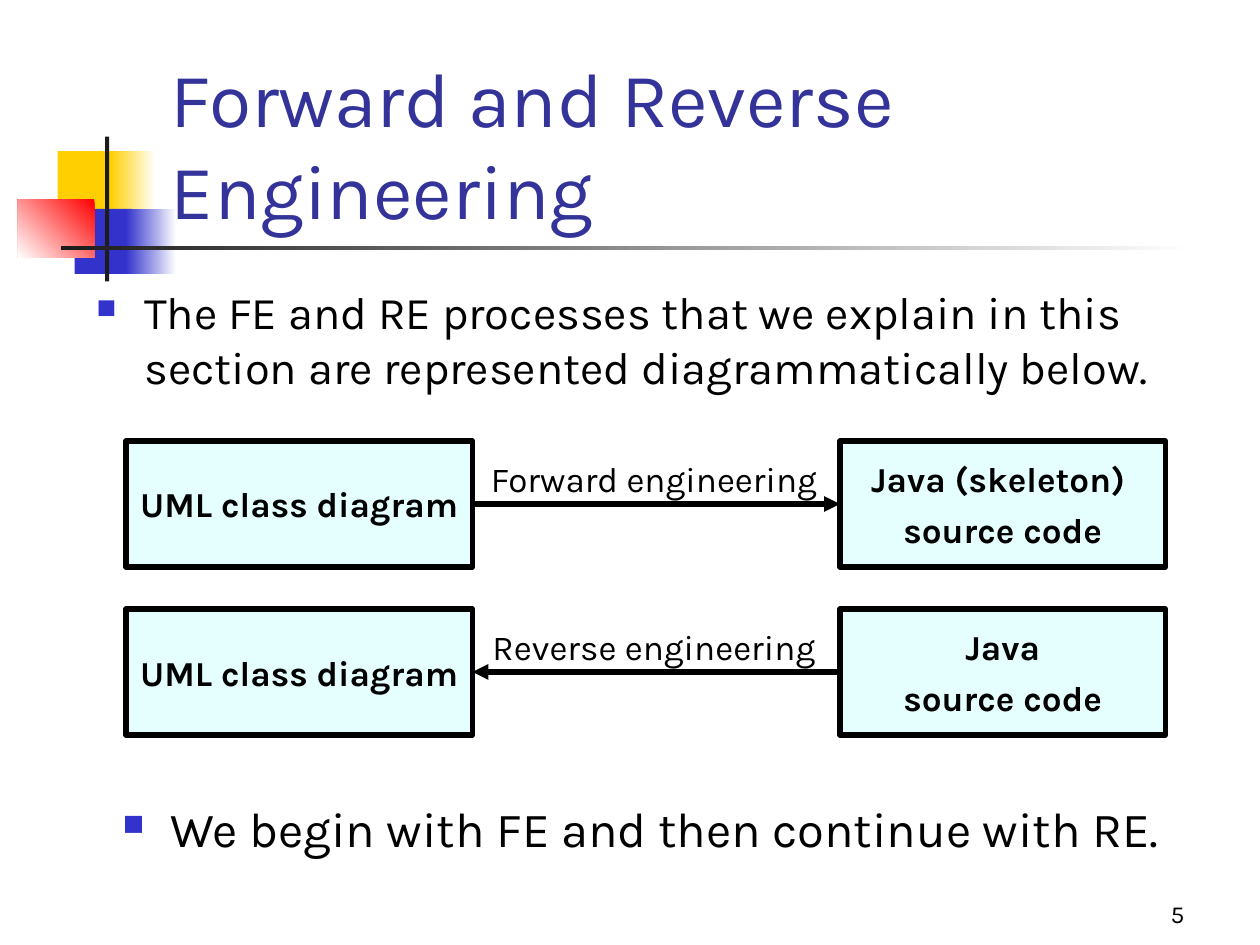
import pptx
import pptx.dml.color
import pptx.enum.shapes
import pptx.enum.text
import pptx.oxml.ns
import pptx.util
from lxml import etree

RGBColor = pptx.dml.color.RGBColor
Align = pptx.enum.text.PP_ALIGN
Anchor = pptx.enum.text.MSO_ANCHOR

BLACK = RGBColor(0x00, 0x00, 0x00)
WHITE = RGBColor(0xFF, 0xFF, 0xFF)
CHARCOAL = RGBColor(0x1C, 0x1C, 0x1C)
YELLOW = RGBColor(0xFF, 0xCF, 0x01)
RED = RGBColor(0xFF, 0x00, 0x00)
BLUE = RGBColor(0x33, 0x33, 0xCC)
TITLE_BLUE = RGBColor(0x33, 0x33, 0x99)
PALE_CYAN = RGBColor(0xE5, 0xFF, 0xFF)

FONT = "Karla"
COLUMNS, ROWS = 120, 90  # grid cells of a twelfth of an inch

# Diagram columns and rows, in grid cells
MODEL_LEFT, MODEL_RIGHT = 12, 45
CODE_LEFT, CODE_RIGHT = 80, 111
FIRST_ROW, ROW_STEP, BOX_HEIGHT = 42, 16, 12


def grid(*cells):
    return [pptx.util.Inches(cell / 12) for cell in cells]


def add_xml(parent, tag, **attributes):
    return etree.SubElement(parent, pptx.oxml.ns.qn(tag), attributes)


def add_bullet(paragraph):
    properties = paragraph._p.get_or_add_pPr()
    indent = pptx.util.Inches(0.38)
    properties.set("marL", str(indent))
    properties.set("indent", str(-indent))
    add_xml(add_xml(properties, "a:buClr"), "a:srgbClr", val=str(BLUE))
    add_xml(properties, "a:buSzPct", val="60000")
    add_xml(properties, "a:buChar", char="■")


def write_text(shape, text, size=20, color=BLACK, bold=False, align=Align.LEFT,
               anchor=Anchor.TOP, wrap=True, bullet=False):
    frame = shape.text_frame
    frame.word_wrap = wrap
    frame.vertical_anchor = anchor
    for index, line in enumerate(text.split("\n")):
        paragraph = frame.paragraphs[0] if index == 0 else frame.add_paragraph()
        paragraph.alignment = align
        if index:
            paragraph.space_before = pptx.util.Pt(5)
        if bullet:
            add_bullet(paragraph)
        run = paragraph.add_run()
        run.text = line
        run.font.name = FONT
        run.font.size = pptx.util.Pt(size)
        run.font.bold = bold
        run.font.color.rgb = color


def add_text(slide, cells, text, **text_format):
    write_text(slide.shapes.add_textbox(*grid(*cells)), text, **text_format)


def add_rectangle(slide, cells, color, fade_angle=None):
    """Add a borderless rectangle; with an angle, it fades to white."""
    shape = slide.shapes.add_shape(
        pptx.enum.shapes.MSO_SHAPE.RECTANGLE, *grid(*cells))
    shape.shadow.inherit = False
    shape.line.fill.background()
    if fade_angle is None:
        shape.fill.solid()
        shape.fill.fore_color.rgb = color
    else:
        shape.fill.gradient()
        shape.fill.gradient_angle = fade_angle
        for stop, stop_color in zip(shape.fill.gradient_stops, (color, WHITE)):
            stop.color.rgb = stop_color
    return shape


def add_box(slide, left, right, top, text):
    box = add_rectangle(slide, (left, top, right - left, BOX_HEIGHT), PALE_CYAN)
    box.line.color.rgb = BLACK
    box.line.width = pptx.util.Pt(3)
    write_text(box, text, bold=True, align=Align.CENTER, anchor=Anchor.MIDDLE,
               wrap=False)


def add_arrow(slide, start, end, row):
    arrow = slide.shapes.add_connector(
        pptx.enum.shapes.MSO_CONNECTOR.STRAIGHT, *grid(start, row, end, row))
    arrow.line.color.rgb = BLACK
    arrow.line.width = pptx.util.Pt(3)
    add_xml(arrow.line._get_or_add_ln(), "a:tailEnd", type="triangle")
    add_xml(arrow._element.spPr, "a:effectLst")


def add_process(slide, index, label, code, forward):
    top = FIRST_ROW + index * ROW_STEP
    add_box(slide, MODEL_LEFT, MODEL_RIGHT, top, "UML class diagram")
    add_box(slide, CODE_LEFT, CODE_RIGHT, top, code)
    ends = (MODEL_RIGHT, CODE_LEFT) if forward else (CODE_LEFT, MODEL_RIGHT)
    add_arrow(slide, *ends, top + BOX_HEIGHT / 2)
    add_text(slide, (MODEL_RIGHT - 0.2, top + 1, CODE_LEFT - MODEL_RIGHT, 5.3),
             label, align=Align.CENTER, wrap=False)


def add_decoration(slide):
    add_rectangle(slide, (5.5, 14.4, 5.8, 6.2), YELLOW)
    add_rectangle(slide, (10.5, 14.4, 4.3, 6.2), YELLOW, fade_angle=0)
    add_rectangle(slide, (7.1, 19.9, 5.5, 6.2), BLUE)
    add_rectangle(slide, (12, 19.9, 4.8, 6.2), BLUE, fade_angle=0)
    add_rectangle(slide, (1.7, 19, 7.3, 5.5), RED, fade_angle=225)
    add_rectangle(slide, (10, 13, 0.4, 13.8), CHARCOAL)
    add_rectangle(slide, (5.8, 23.4, 108, 0.4), CHARCOAL, fade_angle=0)


def main():
    presentation = pptx.Presentation()
    presentation.slide_width, presentation.slide_height = grid(COLUMNS, ROWS)
    slide = presentation.slides.add_slide(presentation.slide_layouts[6])

    # Title with its ornament
    add_decoration(slide)
    add_text(slide, (15.1, 8, 102.2, 15), "Forward and Reverse Engineering",
             size=44, color=TITLE_BLUE, anchor=Anchor.BOTTOM)

    # Introduction
    add_text(slide, (8, 26.5, 109.5, 14.5),
             "The FE and RE processes that we explain in this section "
             "are represented diagrammatically below.", size=25.9, bullet=True)

    # Diagram of the two processes
    add_process(slide, 0, "Forward engineering",
                "Java (skeleton) \nsource code", forward=True)
    add_process(slide, 1, "Reverse engineering",
                "Java\nsource code", forward=False)

    # Closing point and slide number
    add_text(slide, (10.5, 75.5, 109.5, 8.5),
             "We begin with FE and then continue with RE.", size=28, bullet=True)
    add_text(slide, (89, 83, 25, 6), "5", size=14, align=Align.RIGHT,
             anchor=Anchor.BOTTOM)

    presentation.save("out.pptx")


if __name__ == "__main__":
    main()
